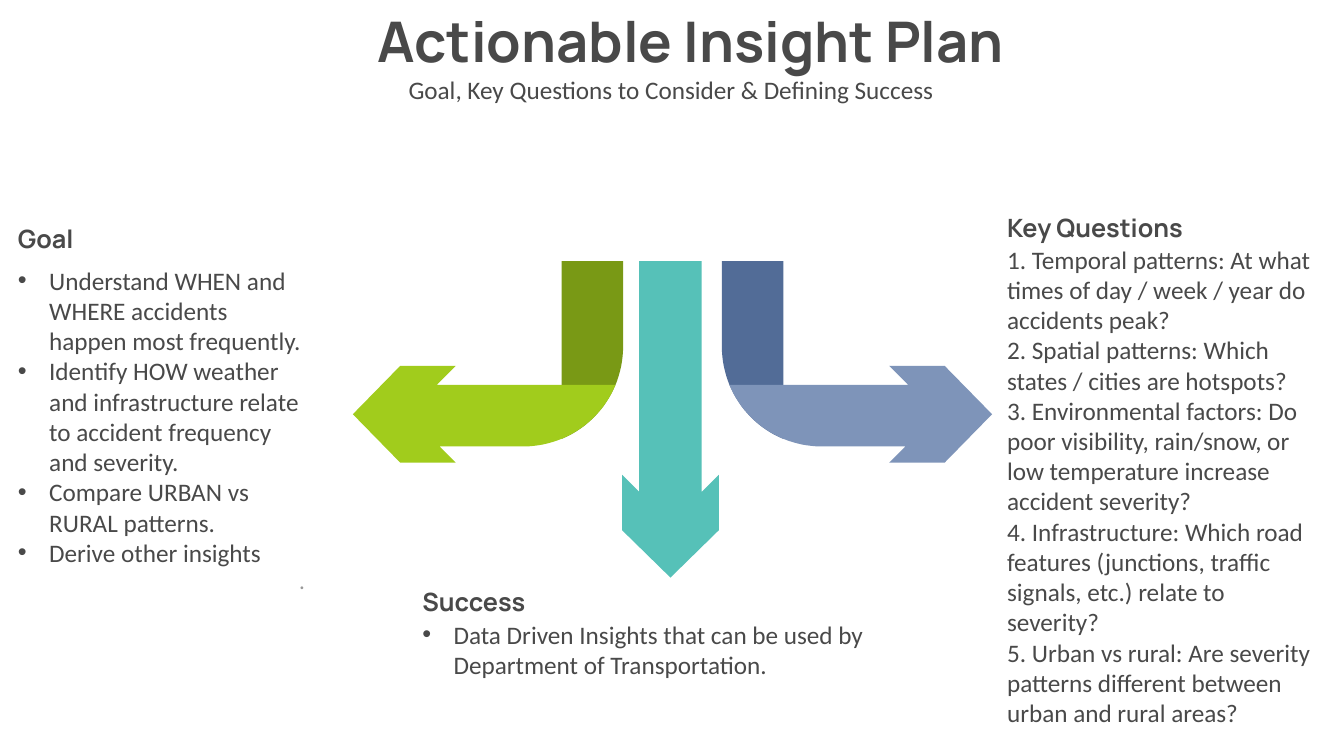
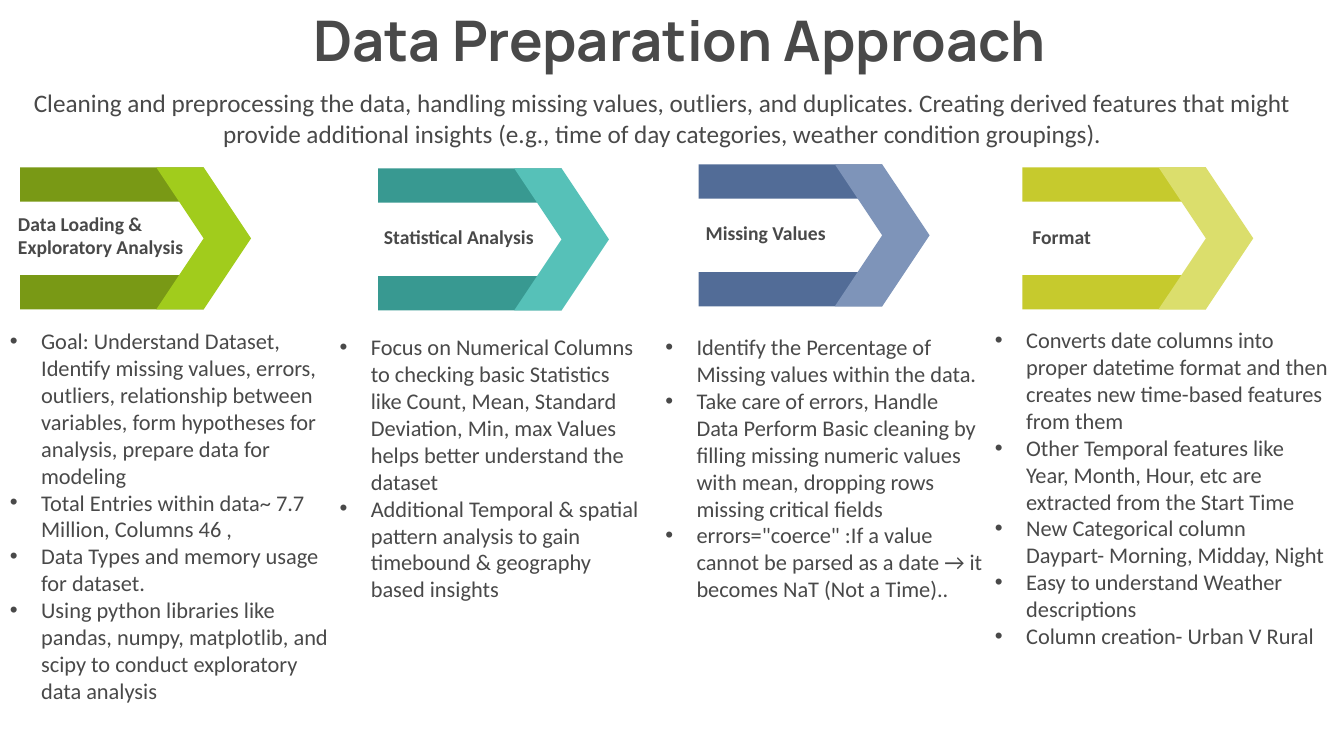
"""Build a two-slide deck on an insight plan and a data preparation approach."""
import math
from dataclasses import dataclass

import lxml.etree
import pptx
import pptx.dml.color
import pptx.enum.shapes
import pptx.enum.text
import pptx.oxml.ns
import pptx.util

Inches = pptx.util.Inches
Align = pptx.enum.text.PP_ALIGN


@dataclass(frozen=True)
class Theme:
    """Colours, fonts and type sizes shared by the slides."""
    ink: str = "494949"
    faint: str = "999999"
    greens: tuple = ("799915", "A1CC1C")
    teals: tuple = ("389991", "56C1B8")
    blues: tuple = ("526C97", "7E94B9")
    limes: tuple = ("C6CA2D", "DBDE6C")
    head_font: str = "Manrope"
    body_font: str = "Calibri"
    mark_font: str = "Lato"
    title_size: int = 40
    body_size: int = 18
    list_size: int = 16
    label_size: int = 14
    indent: float = 0.31


THEME = Theme()
WIDTH, HEIGHT = 13.33, 7.5

PLAN = {
    "title": ("Actionable Insight Plan", (3.41, 0.01, 6.88, 0.77)),
    "subtitle": ("Goal, Key Questions to Consider & Defining Success", (1.45, 0.69, 10.41, 0.4)),
    "sections": [
        ("Goal", (0.08, 2.17, 3.04), 0.41, 3.4, True, [
            "Understand WHEN and WHERE accidents happen most frequently.",
            "Identify HOW weather and infrastructure relate to accident frequency and severity.",
            "Compare URBAN vs RURAL patterns.",
            "Derive other insights",
        ], "."),
        ("Key Questions", (9.89, 2.06, 3.26), 0.31, 4.95, False, [
            "1. Temporal patterns: At what times of day / week / year do accidents peak?",
            "2. Spatial patterns: Which states / cities are hotspots?",
            "3. Environmental factors: Do poor visibility, rain/snow, or low temperature "
            "increase accident severity?",
            "4. Infrastructure: Which road features (junctions, traffic signals, etc.) "
            "relate to severity?",
            "5. Urban vs rural: Are severity patterns different between urban and rural areas?",
        ], None),
        ("Success", (4.09, 5.77, 4.72), 0.32, 1.01, True, [
            "Data Driven Insights that can be used by Department of Transportation.",
        ], None),
    ],
}

PREPARATION = {
    "title": ("Data Preparation Approach", (2.66, 0, 8.16, 0.77)),
    "subtitle": (
        "Cleaning and preprocessing the data, handling missing values, outliers, and duplicates. "
        "Creating derived features that might provide additional insights (e.g., time of day "
        "categories, weather condition groupings).", (0.17, 0.82, 12.8, 0.71)),
    "steps": [
        ("Data Loading & Exploratory Analysis", THEME.greens, (0.2, 1.66),
         (0.08, 2.05, 2.12, 0.57), (0, 3.2, 3.38, 3.87), [
             "Goal: Understand Dataset, Identify missing values, errors, outliers, relationship "
             "between variables, form hypotheses for analysis, prepare data for modeling",
             "Total Entries within data~ 7.7 Million, Columns 46 ,",
             "Data Types and memory usage for dataset.",
             "Using python libraries like pandas, numpy, matplotlib, and scipy to conduct "
             "exploratory data analysis",
         ]),
        ("Statistical Analysis", THEME.teals, (3.75, 1.67),
         (3.71, 2.18, 1.82, 0.34), (3.27, 3.26, 3.23, 2.79), [
             "Focus on Numerical Columns to checking basic Statistics like Count, Mean, Standard "
             "Deviation, Min, max Values helps better understand the dataset",
             "Additional Temporal & spatial pattern analysis to gain timebound & geography "
             "based insights",
         ]),
        ("Missing Values", THEME.blues, (6.93, 1.63),
         (6.9, 2.14, 1.51, 0.34), (6.5, 3.26, 3.35, 3.06), [
             "Identify the Percentage of Missing values within the data.",
             "Take care of errors, Handle Data Perform Basic cleaning by filling missing numeric "
             "values with mean, dropping rows missing critical fields",
             "errors=\"coerce\" :If a value cannot be parsed as a date → it becomes NaT "
             "(Not a Time)..",
         ]),
        ("Format", THEME.limes, (10.14, 1.66),
         (10.14, 2.18, 1.33, 0.34), (9.77, 3.19, 3.5, 3.33), [
             "Converts date columns into proper datetime format and then creates new time-based "
             "features from them",
             "Other Temporal features like Year, Month, Hour, etc are extracted from the Start Time",
             "New Categorical column Daypart- Morning, Midday, Night",
             "Easy to understand Weather descriptions",
             "Column creation- Urban V Rural",
         ]),
    ],
}

AXIS = 6.67
ARROW_TOP = 2.59
BEND_X, BEND_Y, BEND_RADIUS = 5.19, 3.44, 0.99
STEM_LEFT, FOLD_Y = 5.57, 3.82
HOOK_HEAD = [(4.33, FOLD_Y), (4.52, 3.63), (3.97, 3.63), (3.5, 4.11),
             (3.97, 4.59), (4.52, 4.59), (4.36, 4.43)]
DOWN_HALF = [(0.31, ARROW_TOP), (0.31, 4.88), (0.48, 4.71), (0.48, 5.26), (0, 5.73)]

BAR_WIDTH, BAR_HEIGHT = 1.82, 0.34
CHEVRON_OFFSET, CHEVRON_WIDTH, CHEVRON_HEIGHT = 1.35, 0.94, 1.41


def paint(shape, color):
    """Fill a shape with one flat colour, without outline or shadow."""
    shape.fill.solid()
    shape.fill.fore_color.rgb = pptx.dml.color.RGBColor.from_string(color)
    shape.line.fill.background()
    shape.shadow.inherit = False


def add_bullet(paragraph):
    """Give a paragraph a hanging round bullet."""
    properties = paragraph._p.get_or_add_pPr()
    properties.set("marL", str(Inches(THEME.indent)))
    properties.set("indent", str(-Inches(THEME.indent)))
    for tag, name, value in (("a:buFont", "typeface", "Arial"), ("a:buChar", "char", "•")):
        child = lxml.etree.SubElement(properties, pptx.oxml.ns.qn(tag))
        child.set(name, value)


def style(paragraph, size, font=THEME.body_font, bold=False, color=THEME.ink, align=Align.LEFT):
    """Set the alignment and font of a paragraph."""
    paragraph.alignment = align
    paragraph.font.size = pptx.util.Pt(size)
    paragraph.font.name = font
    paragraph.font.bold = bold
    paragraph.font.color.rgb = pptx.dml.color.RGBColor.from_string(color)


def add_text(slide, area, lines, size, bullets=False, **look):
    """Add a wrapped text box with one paragraph per line."""
    frame = slide.shapes.add_textbox(*map(Inches, area)).text_frame
    frame.word_wrap = True
    for index, line in enumerate(lines):
        paragraph = frame.add_paragraph() if index else frame.paragraphs[0]
        paragraph.text = line
        if bullets:
            add_bullet(paragraph)
        style(paragraph, size, **look)
    return frame


def add_page(deck, content):
    """Add a slide with its title and subtitle."""
    page = deck.slides.add_slide(deck.slide_layouts[5])
    text, area = content["title"]
    title = page.shapes.title
    title.left, title.top, title.width, title.height = map(Inches, area)
    frame = title.text_frame
    frame.text = text
    frame.word_wrap = False
    frame.auto_size = pptx.enum.text.MSO_AUTO_SIZE.NONE
    frame.vertical_anchor = pptx.enum.text.MSO_ANCHOR.TOP
    style(frame.paragraphs[0], THEME.title_size, THEME.head_font, True, align=Align.CENTER)
    text, area = content["subtitle"]
    add_text(page, area, [text], THEME.body_size, align=Align.CENTER)
    return page


def add_outline(page, points, color):
    """Add a closed freeform through points given in inches."""
    first, *rest = [(round(x * 1000), round(y * 1000)) for x, y in points]
    builder = page.shapes.build_freeform(*first, scale=Inches(1) / 1000)
    builder.add_line_segments(rest, close=True)
    paint(builder.convert_to_shape(), color)


def bend(start, end, steps=24):
    """Return points on the outer bend between two angles in radians."""
    angles = [start + (end - start) * step / steps for step in range(steps + 1)]
    return [(BEND_X + BEND_RADIUS * math.cos(angle), BEND_Y + BEND_RADIUS * math.sin(angle))
            for angle in angles]


def add_arrows(page):
    """Draw the two mirrored hooked arrows and the one pointing down."""
    stem_angle = math.acos((STEM_LEFT - BEND_X) / BEND_RADIUS)
    fold_angle = math.asin((FOLD_Y - BEND_Y) / BEND_RADIUS)
    stem = [(STEM_LEFT, ARROW_TOP), *bend(stem_angle, 0), (BEND_X + BEND_RADIUS, ARROW_TOP)]
    hook = HOOK_HEAD + bend(math.pi / 2, fold_angle)
    for colors, mirrored in ((THEME.greens, False), (THEME.blues, True)):
        for points, color in zip((stem, hook), colors):
            add_outline(page, [(2 * AXIS - x if mirrored else x, y) for x, y in points], color)
    right = [(AXIS - 0.02 + x, y) for x, y in DOWN_HALF]
    left = [(AXIS - 0.02 - x, y) for x, y in reversed(DOWN_HALF[:-1])]
    add_outline(page, right + left, THEME.teals[1])


def add_step_arrow(page, left, top, colors):
    """Draw two bars that run into a chevron."""
    kinds = pptx.enum.shapes.MSO_SHAPE
    bar_tops = (top, top + CHEVRON_HEIGHT - BAR_HEIGHT)
    parts = [(kinds.RECTANGLE, (left, y, BAR_WIDTH, BAR_HEIGHT), colors[0]) for y in bar_tops]
    parts.append((kinds.CHEVRON, (left + CHEVRON_OFFSET, top, CHEVRON_WIDTH, CHEVRON_HEIGHT),
                  colors[1]))
    for kind, area, color in parts:
        paint(page.shapes.add_shape(kind, *map(Inches, area)), color)


def build_plan(deck):
    """Build the slide with the goal, questions and success."""
    page = add_page(deck, PLAN)
    add_arrows(page)
    for heading, (left, top, width), gap, height, bullets, lines, mark in PLAN["sections"]:
        add_text(page, (left, top, width, 0.4), [heading], THEME.body_size,
                 font=THEME.head_font, bold=True)
        frame = add_text(page, (left, top + gap, width, height), lines, THEME.body_size, bullets)
        if mark:
            paragraph = frame.add_paragraph()
            paragraph.text = mark
            style(paragraph, THEME.list_size, THEME.mark_font, color=THEME.faint,
                  align=Align.RIGHT)


def build_preparation(deck):
    """Build the slide with the four preparation steps."""
    page = add_page(deck, PREPARATION)
    for label, colors, corner, label_area, list_area, lines in PREPARATION["steps"]:
        add_step_arrow(page, *corner, colors)
        add_text(page, label_area, [label], THEME.label_size, bold=True)
        add_text(page, list_area, lines, THEME.list_size, bullets=True)


def main():
    """Build and save the deck."""
    deck = pptx.Presentation()
    deck.slide_width, deck.slide_height = Inches(WIDTH), Inches(HEIGHT)
    build_plan(deck)
    build_preparation(deck)
    deck.save("out.pptx")


if __name__ == "__main__":
    main()
